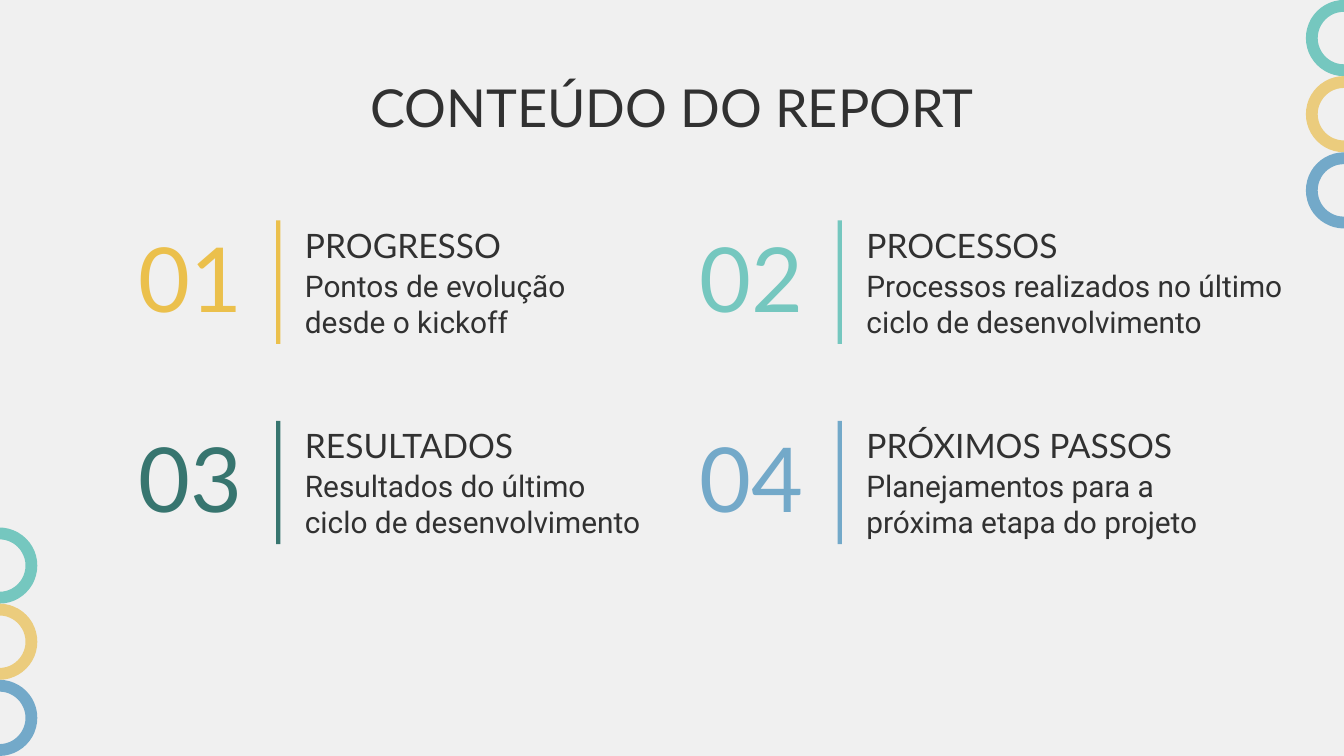
from typing import NamedTuple

from pptx import Presentation
from pptx.dml.color import RGBColor
from pptx.enum import shapes, text
from pptx.util import Pt

HUES = {
    "ground": "F0F0F0",
    "ink": "313131",
    "gold": "EBC04C",
    "sand": "EBCC7D",
    "mint": "75C7BF",
    "pine": "37756F",
    "blue": "73A9C9",
}
LEFT, TOP = 64.1, 118.1
STEP_X, STEP_Y = 300.8, 107.3
TALL = 66.2
RING = 40.8
BAND = 0.155


class Box(NamedTuple):
    x: float
    y: float
    w: float
    h: float


class Style(NamedTuple):
    font: str
    size: float
    hue: str
    align: text.PP_ALIGN = text.PP_ALIGN.LEFT
    anchor: text.MSO_ANCHOR = text.MSO_ANCHOR.TOP


class Topic(NamedTuple):
    head: str
    body: str
    hue: str
    width: float = 198.7


TOPICS = [
    Topic("PROGRESSO", "Pontos de evolução desde o kickoff", "gold", 180),
    Topic("PROCESSOS", "Processos realizados no último ciclo de desenvolvimento", "mint", 242),
    Topic("RESULTADOS", "Resultados do último ciclo de desenvolvimento", "pine"),
    Topic("PRÓXIMOS PASSOS", "Planejamentos para a próxima etapa do projeto", "blue"),
]


def color(hue: str) -> RGBColor:
    return RGBColor.from_string(HUES[hue])


def place(box: Box) -> list[Pt]:
    return [Pt(side) for side in box]


def write(shape, words: str, style: Style) -> None:
    frame = shape.text_frame
    frame.text = words
    frame.word_wrap = True
    frame.auto_size = text.MSO_AUTO_SIZE.NONE
    frame.vertical_anchor = style.anchor
    frame.margin_left = frame.margin_right = Pt(7.2)
    frame.margin_top = frame.margin_bottom = Pt(7.2)
    para = frame.paragraphs[0]
    para.alignment = style.align
    para.font.name = style.font
    para.font.size = Pt(style.size)
    para.font.color.rgb = color(style.hue)


def label(slide, box: Box, words: str, style: Style) -> None:
    write(slide.shapes.add_textbox(*place(box)), words, style)


def solid(slide, kind: shapes.MSO_SHAPE, box: Box, hue: str):
    shape = slide.shapes.add_shape(kind, *place(box))
    shape.shadow.inherit = False
    shape.fill.solid()
    shape.fill.fore_color.rgb = color(hue)
    shape.line.fill.background()
    return shape


def rings(slide, x: float, y: float) -> None:
    for row, hue in enumerate(["mint", "sand", "blue"]):
        box = Box(x, y + row * RING, RING, RING)
        ring = solid(slide, shapes.MSO_SHAPE.DONUT, box, hue)
        ring.adjustments[0] = BAND


def entry(slide, order: int, topic: Topic) -> None:
    row, col = divmod(order, 2)
    x, y = LEFT + col * STEP_X, TOP + row * STEP_Y
    digits = Style("Lato", 48, topic.hue, text.PP_ALIGN.RIGHT, text.MSO_ANCHOR.BOTTOM)
    label(slide, Box(x, y, 72.7, TALL), f"{order + 1:02}", digits)
    label(slide, Box(x + 92.2, y - 5, 198.7, 26.6), topic.head, Style("Lato", 18, "ink"))
    label(slide, Box(x + 92.2, y + 18, topic.width, 48.2), topic.body, Style("Roboto", 16, "ink"))
    solid(slide, shapes.MSO_SHAPE.RECTANGLE, Box(x + 83.9, y, 2.2, TALL), topic.hue)


def main() -> None:
    deck = Presentation()
    deck.slide_width, deck.slide_height = Pt(720), Pt(405)
    slide = deck.slides.add_slide(deck.slide_layouts[5])
    slide.background.fill.solid()
    slide.background.fill.fore_color.rgb = color("ground")

    rings(slide, 699.6, 0)
    rings(slide, -20.8, 405 - 3 * RING)

    title = slide.shapes.title
    title.left, title.top, title.width, title.height = place(Box(56.9, 42.5, 606.2, 28.8))
    middle = Style("Lato", 28, "ink", text.PP_ALIGN.CENTER, text.MSO_ANCHOR.MIDDLE)
    write(title, "CONTEÚDO DO REPORT", middle)

    for order, topic in enumerate(TOPICS):
        entry(slide, order, topic)

    deck.save("out.pptx")


if __name__ == "__main__":
    main()
